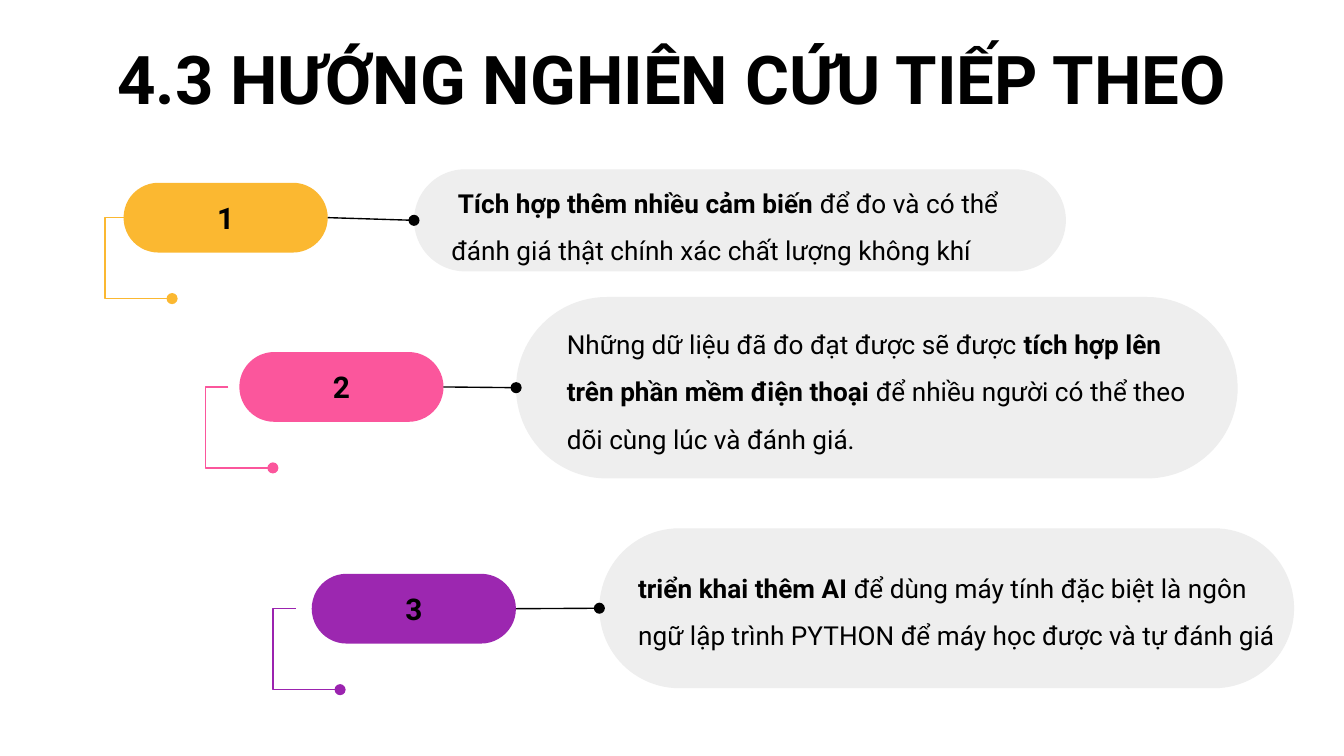
from lxml import etree
from pptx import Presentation
from pptx.dml.color import RGBColor
from pptx.enum.shapes import MSO_CONNECTOR as Conn, MSO_SHAPE as Shape
from pptx.enum.text import MSO_ANCHOR as Anchor, PP_ALIGN as Align
from pptx.oxml.ns import qn
from pptx.util import Pt

COLORS = {
    "ink": "000000",
    "panel": "EEEEEE",
    "amber": "FBB831",
    "pink": "FB569C",
    "purple": "9C27B0",
    "violet": "9B23AF",
}
FONT = "Roboto"
PILL_W, PILL_H = 109.4, 37.4
HOOK_W, HOOK_H, STUB = 36, 43.4, 12.2
TEXT_W = 360

# Pill corner, hook left, panel box and text corner are relative:
# hook and panel to the pill, text to the panel.
ROWS = [
    dict(num="1", pill=(66.2, 97.9), color="amber", edge="amber", hook=-10,
         panel=(155.6, -7.2, 349.2, 54.7), text=(-23.1, -2.1, 55.4), indent=36,
         runs=[(" ", False), ("Tích hợp thêm nhiều cảm biến ", True),
               ("để đo và có thể đánh giá thật chính xác chất lượng không khí",
                False)]),
    dict(num="2", pill=(128.2, 188.6), color="pink", edge="pink", hook=-18,
         panel=(148.3, -29.5, 386.6, 97.2), text=(20.1, 5.1, 80.6), indent=0,
         runs=[("Những dữ liệu đã đo đạt được sẽ được ", False),
               ("tích hợp lên trên phần mềm điện thoại ", True),
               ("để nhiều người có thể theo dõi cùng lúc và đánh giá.", False)]),
    dict(num="3", pill=(167, 307.4), color="purple", edge="violet", hook=-20.8,
         panel=(154.1, -24.4, 372.2, 85.7), text=(13.7, 11.5, 55.4), indent=0,
         runs=[("triển khai thêm AI ", True),
               ("để dùng máy tính đặc biệt là ngôn ngữ lập trình PYTHON "
                "để máy học được và tự đánh giá", False)]),
]


def rgb(name):
    return RGBColor.from_string(COLORS[name])


def style(para, size, bold=None):
    font = para.font
    font.name, font.size, font.bold = FONT, Pt(size), bold
    font.color.rgb = rgb("ink")


def label(shape, text, size):
    """Centred bold text with even insets."""
    frame = shape.text_frame
    frame.word_wrap = True
    frame.vertical_anchor = Anchor.MIDDLE
    frame.margin_left = frame.margin_right = Pt(7.2)
    frame.margin_top = frame.margin_bottom = Pt(7.2)
    para = frame.paragraphs[0]
    para.text, para.alignment = text, Align.CENTER
    style(para, size, True)


def capsule(slide, x, y, w, h, color):
    shape = slide.shapes.add_shape(Shape.ROUNDED_RECTANGLE,
                                   Pt(x), Pt(y), Pt(w), Pt(h))
    shape.adjustments[0] = 0.5
    shape.shadow.inherit = False
    shape.fill.solid()
    shape.fill.fore_color.rgb = rgb(color)
    shape.line.fill.background()
    return shape


def dot_end(line, color):
    """Thin line with a round dot at its far end."""
    line.color.rgb = rgb(color)
    line.width = Pt(0.75)
    etree.SubElement(line._get_or_add_ln(), qn("a:tailEnd"), type="oval")


def add_hook(slide, x, y, color):
    pen = slide.shapes.build_freeform(Pt(x + STUB), Pt(y))
    pen.add_line_segments([(Pt(x), Pt(y)), (Pt(x), Pt(y + HOOK_H)),
                           (Pt(x + HOOK_W), Pt(y + HOOK_H))], close=False)
    hook = pen.convert_to_shape()
    hook.shadow.inherit = False
    hook.fill.background()
    dot_end(hook.line, color)


def add_link(slide, pill, panel):
    link = slide.shapes.add_connector(Conn.STRAIGHT, 0, 0, 0, 0)
    link.begin_connect(pill, 3)
    link.end_connect(panel, 1)
    dot_end(link.line, "ink")
    etree.SubElement(link._element.spPr, qn("a:effectLst"))


def add_note(slide, x, y, h, runs, indent):
    box = slide.shapes.add_textbox(Pt(x), Pt(y), Pt(TEXT_W), Pt(h))
    box.text_frame.word_wrap = True
    para = box.text_frame.paragraphs[0]
    para.line_spacing = 1.5
    para._p.get_or_add_pPr().set("marL", str(Pt(indent)))
    style(para, 14)
    for text, bold in runs:
        run = para.add_run()
        run.text, run.font.bold = text, bold


def add_title(slide, x, y, w, h):
    box = slide.shapes.add_textbox(Pt(x), Pt(y), Pt(w), Pt(h))
    label(box, "4.3 HƯỚNG NGHIÊN CỨU TIẾP THEO", 36)


def add_row(slide, row):
    x, y = row["pill"]
    # Hook below the pill
    add_hook(slide, x + row["hook"], y + PILL_H / 2, row["edge"])
    # Numbered pill, panel and the link between them
    pill = capsule(slide, x, y, PILL_W, PILL_H, row["color"])
    label(pill, row["num"], 16)
    dx, dy, w, h = row["panel"]
    left, top = x + dx, y + dy
    panel = capsule(slide, left, top, w, h, "panel")
    add_link(slide, pill, panel)
    # Text over the panel
    dx, dy, h = row["text"]
    add_note(slide, left + dx, top + dy, h, row["runs"], row["indent"])


def main():
    deck = Presentation()
    deck.slide_width, deck.slide_height = Pt(720), Pt(405)
    slide = deck.slides.add_slide(deck.slide_layouts[6])
    add_title(slide, 39.6, 22.3, 640.8, 38.2)
    for row in ROWS:
        add_row(slide, row)
    deck.save("out.pptx")


if __name__ == "__main__":
    main()
